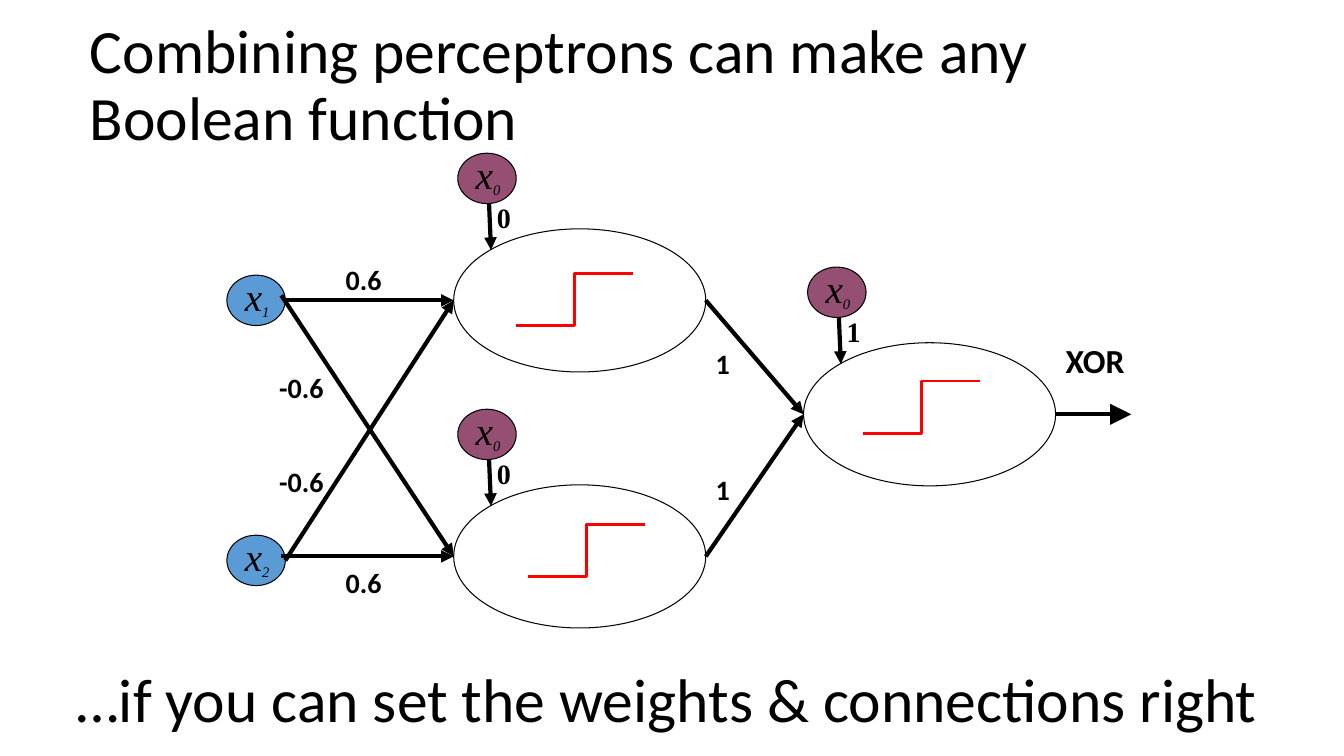
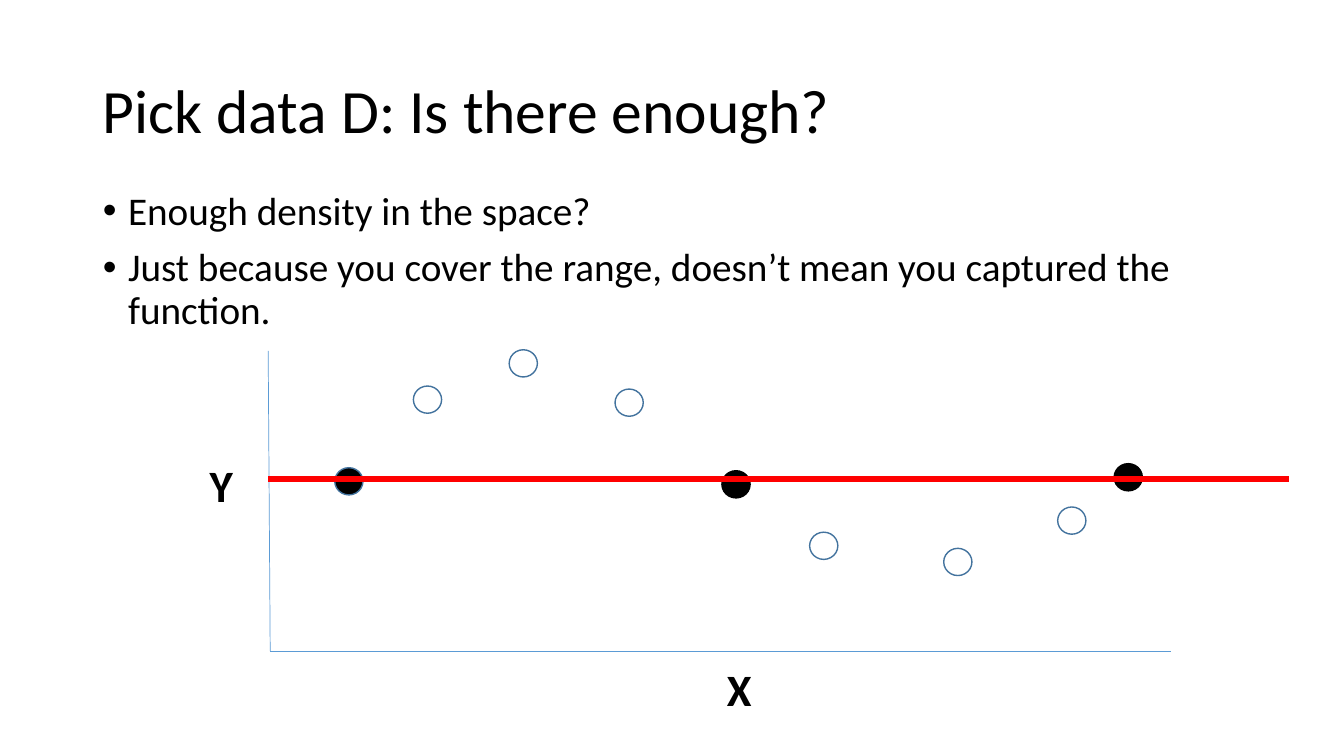
from dataclasses import dataclass

from lxml import etree
from pptx import Presentation
from pptx.dml.color import RGBColor
from pptx.enum.shapes import MSO_CONNECTOR, MSO_SHAPE
from pptx.enum.text import MSO_ANCHOR, MSO_AUTO_SIZE, PP_ALIGN
from pptx.oxml.ns import qn
from pptx.util import Inches, Pt

STRAIGHT = MSO_CONNECTOR.STRAIGHT
ELBOW = MSO_CONNECTOR.ELBOW
OVAL = MSO_SHAPE.OVAL
MIDDLE = MSO_ANCHOR.MIDDLE
LEFT = PP_ALIGN.LEFT
NO_FIT = MSO_AUTO_SIZE.NONE
GROW = MSO_AUTO_SIZE.SHAPE_TO_FIT_TEXT
TITLE_ONLY, TITLE_AND_BODY = 5, 1


@dataclass(frozen=True)
class Theme:
    sans: str = "Calibri"
    serif: str = "Times New Roman"
    ink: str = "000000"
    blue: str = "5B9BD5"
    outline: str = "43739E"
    plum: str = "954F72"
    red: str = "FF0000"
    title: int = 44
    axis: int = 32
    body: int = 28
    output: int = 24
    weight: int = 20
    index: int = 18
    line_spacing: float = 0.9


THEME = Theme()


class Deck:
    def __init__(self, theme):
        self.theme = theme
        self.presentation = Presentation()
        self.presentation.slide_width = Inches(13.33)
        self.presentation.slide_height = Inches(7.5)
        self.slide = None

    def add_slide(self, layout, title, left, top):
        self.slide = self.presentation.slides.add_slide(
            self.presentation.slide_layouts[layout])
        heading = self.slide.shapes.title
        self.place(heading, left, top, 11.5, 1.45)
        self.headline(heading.text_frame, title)

    def place(self, shape, left, top, width, height):
        shape.left, shape.top = Inches(left), Inches(top)
        shape.width, shape.height = Inches(width), Inches(height)

    def headline(self, frame, text):
        frame.text = text
        frame.word_wrap = True
        frame.auto_size = NO_FIT
        frame.vertical_anchor = MIDDLE
        paragraph = frame.paragraphs[0]
        paragraph.alignment = LEFT
        paragraph.line_spacing = self.theme.line_spacing
        self.style(paragraph.runs[0], self.theme.title)

    def style(self, run, size, font=None, bold=False, italic=False):
        run.font.name = font or self.theme.sans
        run.font.size = Pt(size)
        run.font.bold = bold
        run.font.italic = italic
        run.font.color.rgb = RGBColor.from_string(self.theme.ink)

    def bullets(self, items, left, top, width, height):
        body = self.slide.placeholders[1]
        self.place(body, left, top, width, height)
        frame = body.text_frame
        frame.text = "\n".join(items)
        frame.auto_size = NO_FIT
        for position, paragraph in enumerate(frame.paragraphs):
            paragraph.alignment = LEFT
            paragraph.line_spacing = self.theme.line_spacing
            paragraph.space_before = Pt(10 if position else 0)
            properties = paragraph._p.get_or_add_pPr()
            properties.set("marL", str(Inches(0.25)))
            properties.set("indent", str(-Inches(0.25)))
            etree.SubElement(properties, qn("a:buFont")).set("typeface", "Arial")
            etree.SubElement(properties, qn("a:buChar")).set("char", "•")
            self.style(paragraph.runs[0], self.theme.body)

    def closing(self, text, left, top, width, height):
        box = self.slide.shapes.add_textbox(
            Inches(left), Inches(top), Inches(width), Inches(height))
        self.headline(box.text_frame, text)

    def label(self, text, left, top, width, height, size, font=None):
        frame = self.label_frame(left, top, width, height)
        frame.text = text
        self.style(frame.paragraphs[0].runs[0], size, font, bold=True)

    def label_frame(self, left, top, width, height):
        box = self.slide.shapes.add_textbox(
            Inches(left), Inches(top), Inches(width), Inches(height))
        frame = box.text_frame
        frame.word_wrap = False
        frame.auto_size = GROW
        return frame

    def ellipse(self, left, top, width, height, fill=None, line=None, weight=0.75):
        oval = self.slide.shapes.add_shape(
            OVAL, Inches(left), Inches(top), Inches(width), Inches(height))
        oval.shadow.inherit = False
        if fill:
            oval.fill.solid()
            oval.fill.fore_color.rgb = RGBColor.from_string(fill)
        else:
            oval.fill.background()
        oval.line.color.rgb = RGBColor.from_string(line or self.theme.ink)
        oval.line.width = Pt(weight)

    def line(self, start, end, color, weight, kind=STRAIGHT):
        connector = self.slide.shapes.add_connector(
            kind, *(Inches(value) for value in (*start, *end)))
        connector.line.color.rgb = RGBColor.from_string(color)
        connector.line.width = Pt(weight)
        etree.SubElement(connector._element.spPr, qn("a:effectLst"))
        return connector

    def arrow(self, start, end, head="med"):
        connector = self.line(start, end, self.theme.ink, 3)
        tip = etree.SubElement(connector.line._get_or_add_ln(), qn("a:tailEnd"))
        tip.set("type", "triangle")
        tip.set("w", head)
        tip.set("len", head)

    def node(self, index, left, top, fill):
        self.ellipse(left, top, 0.58, 0.5, fill)
        frame = self.label_frame(left + 0.08, top - 0.08, 0.46, 0.57)
        frame.text = "x"
        paragraph = frame.paragraphs[0]
        subscript = paragraph.add_run()
        subscript.text = index
        sizes = (self.theme.body, self.theme.index)
        for run, size in zip(paragraph.runs, sizes):
            self.style(run, size, self.theme.serif, italic=True)
        subscript._r.get_or_add_rPr().set("baseline", "-25000")

    def perceptron(self, left, top, bias, step_x, step_y):
        self.ellipse(left, top, 2.5, 1.42)
        self.arrow((left + 0.35, top - 0.26), (left + 0.37, top + 0.21))
        self.node("0", left + 0.04, top - 0.75, self.theme.plum)
        self.label(bias, left + 0.33, top - 0.33, 0.34, 0.43,
                   self.theme.weight, self.theme.serif)
        foot = (left + step_x, top + step_y)
        self.line(foot, (foot[0] + 1.16, foot[1] - 0.52),
                  self.theme.red, 2, ELBOW)

    def points(self, centers, fill, line):
        for left, top in centers:
            self.ellipse(left, top, 0.28, 0.27, fill, line, 1)


def build_network(deck):
    theme = deck.theme
    deck.add_slide(TITLE_ONLY, "Combining perceptrons can make any Boolean function",
                   0.79, 0.14)
    for index, top in (("1", 2.73), ("2", 5.31)):
        deck.node(index, 2.25, top, theme.blue)
    for left, top, bias, step_x, step_y in (
            (4.5, 2.27, "0", 0.62, 0.96),
            (4.5, 4.81, "0", 0.74, 0.91),
            (7.97, 3.4, "1", 0.59, 0.9)):
        deck.perceptron(left, top, bias, step_x, step_y)

    upper_in, lower_in = (4.5, 2.98), (4.5, 5.52)
    output_in = (7.97, 4.11)
    for start, end in (
            ((2.83, 5.56), upper_in), ((2.83, 2.98), upper_in),
            ((2.79, 2.93), lower_in), ((2.79, 5.52), lower_in),
            ((7, 2.98), output_in), ((7, 5.52), output_in)):
        deck.arrow(start, end)
    deck.arrow((10.47, 4.11), (11.22, 4.11), "lg")

    for weight, left, top, width in (
            ("0.6", 3.33, 2.56, 0.56), ("0.6", 3.33, 5.56, 0.56),
            ("-0.6", 2.67, 3.63, 0.65), ("-0.6", 2.67, 4.56, 0.65),
            ("1", 7, 3.39, 0.36), ("1", 7, 4.64, 0.36)):
        deck.label(weight, left, top, width, 0.44, theme.weight)
    deck.label("XOR", 10.47, 3.32, 0.79, 0.5, theme.output)
    deck.closing("…if you can set the weights & connections right",
                 0.66, 6.24, 12.33, 1.45)


def build_density(deck):
    theme = deck.theme
    deck.add_slide(TITLE_AND_BODY, "Pick data D: Is there enough?", 0.92, 0.4)
    deck.bullets((
        "Enough density in the space?",
        "Just because you cover the range, doesn’t mean you captured the function.",
    ), 0.92, 1.85, 11.5, 4.76)

    origin = (2.68, 6.46)
    for axis_end in ((2.66, 3.48), (11.61, 6.46)):
        deck.line(axis_end, origin, theme.blue, 0.5)
    deck.points([(3.32, 4.64)], theme.ink, theme.outline)
    deck.points([(7.16, 4.67), (11.05, 4.6)], theme.ink, theme.ink)
    deck.points([(4.1, 3.83), (5.05, 3.47), (6.1, 3.86),
                 (8.03, 5.28), (9.36, 5.44), (10.49, 5.03)],
                None, theme.outline)
    for axis, left, top in (("Y", 1.98, 4.49), ("X", 7.11, 6.52)):
        deck.label(axis, left, top, 0.45, 0.64, theme.axis)
    deck.line((2.66, 4.75), (12.78, 4.75), theme.red, 4)


def main():
    deck = Deck(THEME)
    build_network(deck)
    build_density(deck)
    deck.presentation.save("out.pptx")


if __name__ == "__main__":
    main()
